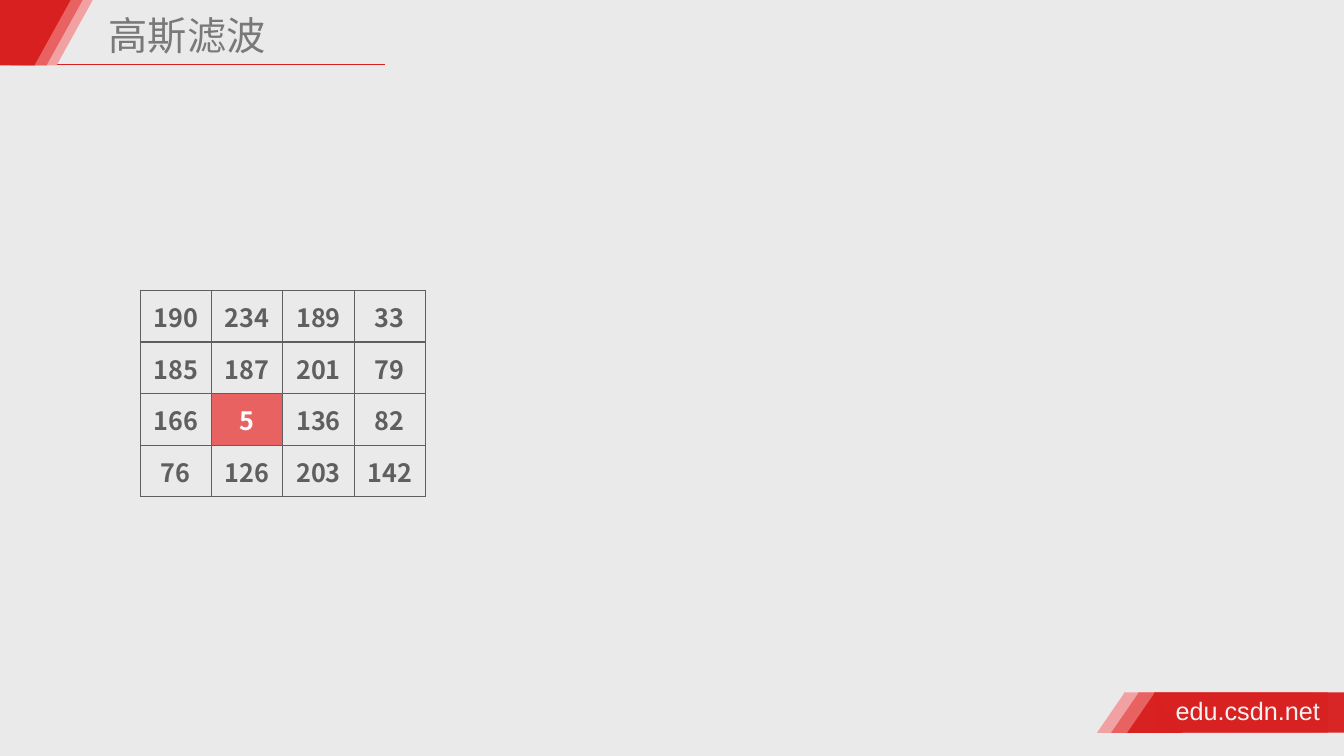
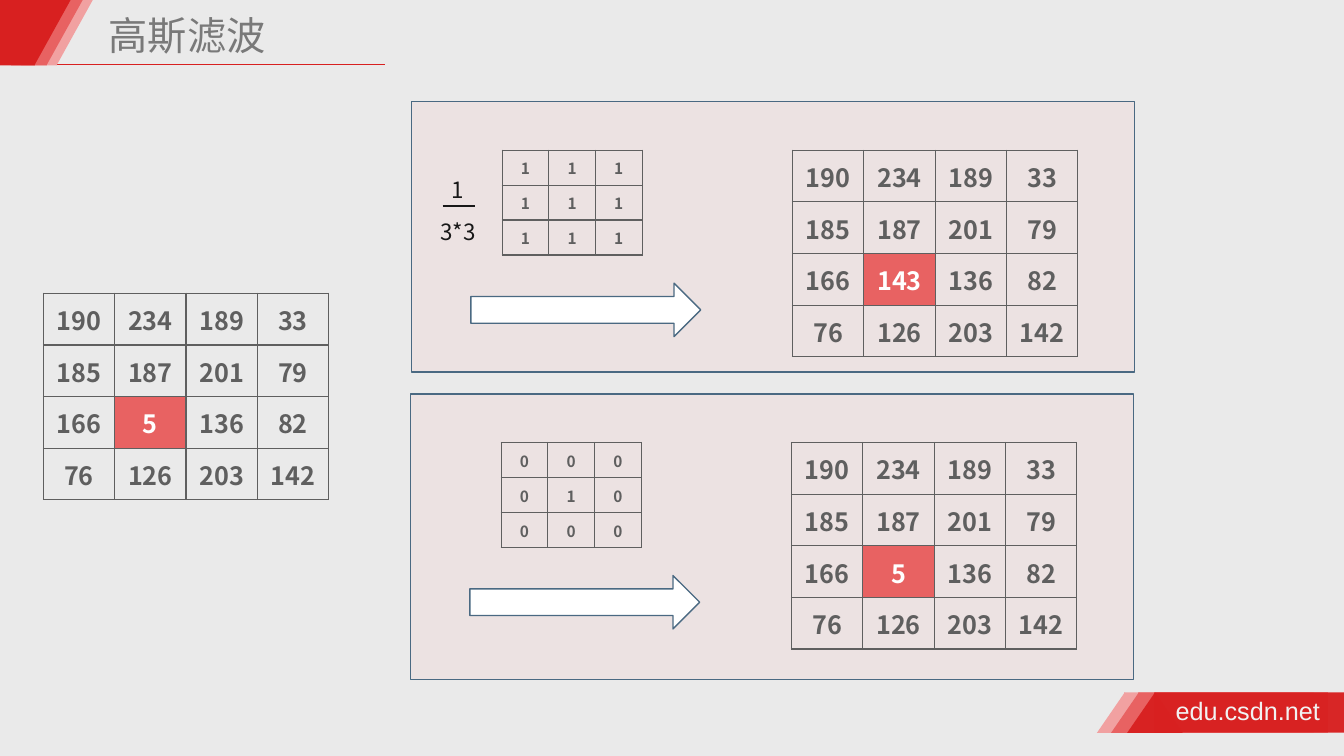
from dataclasses import dataclass

from lxml import etree
from pptx import Presentation
from pptx.dml.color import RGBColor
from pptx.enum.shapes import MSO_CONNECTOR, MSO_SHAPE
from pptx.enum.text import MSO_ANCHOR, MSO_AUTO_SIZE, PP_ALIGN
from pptx.oxml.ns import qn
from pptx.util import Inches, Pt

RECT = MSO_SHAPE.RECTANGLE
WEDGE = MSO_SHAPE.ISOSCELES_TRIANGLE
ARROW = MSO_SHAPE.RIGHT_ARROW
LINE = MSO_CONNECTOR.STRAIGHT
MIDDLE = MSO_ANCHOR.MIDDLE
CENTER = PP_ALIGN.CENTER
GROW = MSO_AUTO_SIZE.SHAPE_TO_FIT_TEXT

SANS = "Noto Sans CJK SC"
COLORS = {
    "back": "EAEAEA",
    "red": "D82020",
    "coral": "E86262",
    "pink": "F1A1A1",
    "title": "797979",
    "pale": "F2F2F2",
    "grid": "5F5F5F",
    "panel": "ECE2E2",
    "edge": "4A6982",
    "ink": "181818",
    "white": "FFFFFF",
}


@dataclass
class Stripe:
    color: str
    top: float
    foot: float
    alpha: int = 100


@dataclass
class Panel:
    left: float
    top: float
    height: float
    kernel: list[list[int]]
    result: int


STRIPES = [
    Stripe("pink", 0.2, 10.88),
    Stripe("coral", 0.1, 11.02),
    Stripe("red", -0.02, 11.18, 97),
]
PANELS = [
    Panel(4.08, 1.01, 2.68, [[1, 1, 1]] * 3, 143),
    Panel(4.07, 3.91, 2.83, [[0, 0, 0], [0, 1, 0], [0, 0, 0]], 5),
]


def paint(fill, color: str, alpha: int = 100) -> None:
    fill.solid()
    fill.fore_color.rgb = RGBColor.from_string(COLORS[color])
    if alpha < 100:
        tone = fill._xPr.find(f".//{qn('a:srgbClr')}")
        etree.SubElement(tone, qn("a:alpha"), val=str(alpha * 1000))


def say(frame, text: str, *, size: float, color: str, font: str = SANS,
        bold: bool = False, align=None, lead: float | None = None) -> None:
    para = frame.paragraphs[0]
    para.alignment = align
    para.line_spacing = lead
    run = para.add_run()
    run.text = text
    run.font.size = Pt(size)
    run.font.bold = bold
    run.font.name = font
    paint(run.font.fill, color)
    etree.SubElement(run._r.get_or_add_rPr(), qn("a:ea"), typeface=font)


def label(slide, text: str, left: float, top: float, width: float,
          height: float, wrap: bool = False, **style) -> None:
    box = slide.shapes.add_textbox(
        Inches(left), Inches(top), Inches(width), Inches(height))
    frame = box.text_frame
    frame.word_wrap = wrap
    frame.auto_size = GROW
    frame.margin_left = frame.margin_right = Inches(0.05)
    frame.margin_top = frame.margin_bottom = Inches(0.05)
    say(frame, text, **style)


def block(slide, kind, left: float, top: float, width: float, height: float,
          color: str, edge: str | None = None, alpha: int = 100):
    shape = slide.shapes.add_shape(
        kind, Inches(left), Inches(top), Inches(width), Inches(height))
    shape.shadow.inherit = False
    paint(shape.fill, color, alpha)
    if edge:
        paint(shape.line.fill, edge)
        shape.line.width = Pt(1)
    else:
        shape.line.fill.background()
    return shape


def rule(slide, left: float, right: float, top: float, color: str,
         width: float) -> None:
    line = slide.shapes.add_connector(
        LINE, Inches(left), Inches(top), Inches(right), Inches(top))
    paint(line.line.fill, color)
    line.line.width = Pt(width)
    etree.SubElement(line._element.spPr, qn("a:effectLst"))


def border(cell) -> None:
    props = cell._tc.get_or_add_tcPr()
    for side in ("lnL", "lnR", "lnT", "lnB"):
        edge = etree.SubElement(props, qn(f"a:{side}"), w=str(Pt(1)))
        fill = etree.SubElement(edge, qn("a:solidFill"))
        etree.SubElement(fill, qn("a:srgbClr"), val=COLORS["grid"])


def grid(slide, rows: list[list[int]], left: float, top: float, width: float,
         height: float, size: float, mark: tuple[int, int] | None = None) -> None:
    count, span = len(rows), len(rows[0])
    table = slide.shapes.add_table(
        count, span, Inches(left), Inches(top),
        Inches(width), Inches(height)).table
    table.first_row = table.horz_banding = False
    for col in table.columns:
        col.width = Inches(width / span)
    for r, row in enumerate(rows):
        table.rows[r].height = Inches(height / count)
        for c, value in enumerate(row):
            cell = table.cell(r, c)
            cell.vertical_anchor = MIDDLE
            cell.margin_left = cell.margin_right = Inches(0.01)
            cell.margin_top, cell.margin_bottom = Inches(0.01), 0
            border(cell)
            hit = (r, c) == mark
            if hit:
                paint(cell.fill, "coral")
            else:
                cell.fill.background()
            say(cell.text_frame, str(value), size=size, bold=True,
                align=CENTER, color="white" if hit else "grid")


def pixels(slide, left: float, top: float, center: int = 5) -> None:
    rows = [
        [190, 234, 189, 33],
        [185, 187, 201, 79],
        [166, center, 136, 82],
        [76, 126, 203, 142],
    ]
    grid(slide, rows, left, top, 2.83, 2.05, 18, (2, 1))


def frame(deck):
    slide = deck.slides.add_slide(deck.slide_layouts[6])
    rule(slide, 0.49, 3.82, 0.64, "red", 1)
    for item in STRIPES:
        block(slide, RECT, item.foot + 0.27, 6.87, 1.88, 0.4,
              item.color, alpha=item.alpha)
        block(slide, WEDGE, item.foot, 6.87, 0.55, 0.4,
              item.color, alpha=item.alpha)
        block(slide, RECT, item.top + 0.01, 0, 0.35, 0.65, item.color)
        wedge = block(slide, WEDGE, item.top, 0, 0.72, 0.65, item.color)
        wedge.rotation = 180
    label(slide, "edu.csdn.net", 11.61, 6.85, 1.55, 0.4,
          size=18, color="pale", font="Arial")
    label(slide, "高斯滤波", 1.03, 0.12, 4.36, 0.53, wrap=True,
          size=28, color="title", lead=0.9)
    return slide


def draw(slide, panel: Panel) -> None:
    left, top = panel.left, panel.top
    block(slide, RECT, left, top, 7.17, panel.height, "panel", "edge")
    block(slide, ARROW, left + 0.59, top + 1.8, 2.28, 0.53, "white", "edge")
    grid(slide, panel.kernel, left + 0.9, top + 0.48, 1.39, 1.04, 11)
    pixels(slide, left + 3.78, top + 0.48, panel.result)


def main() -> None:
    deck = Presentation()
    deck.slide_width, deck.slide_height = Inches(13.33), Inches(7.5)
    paint(deck.slide_master.background.fill, "back")

    pixels(frame(deck), 1.39, 2.88)

    slide = frame(deck)
    pixels(slide, 0.43, 2.91)
    for panel in PANELS:
        draw(slide, panel)
    label(slide, "1", 4.43, 1.57, 0.23, 0.5, size=16, color="ink", lead=1.5)
    label(slide, "3*3", 4.32, 1.98, 0.47, 0.5, size=16, color="ink", lead=1.5)
    rule(slide, 4.39, 4.71, 2.04, "ink", 1.5)

    deck.save("out.pptx")


if __name__ == "__main__":
    main()
